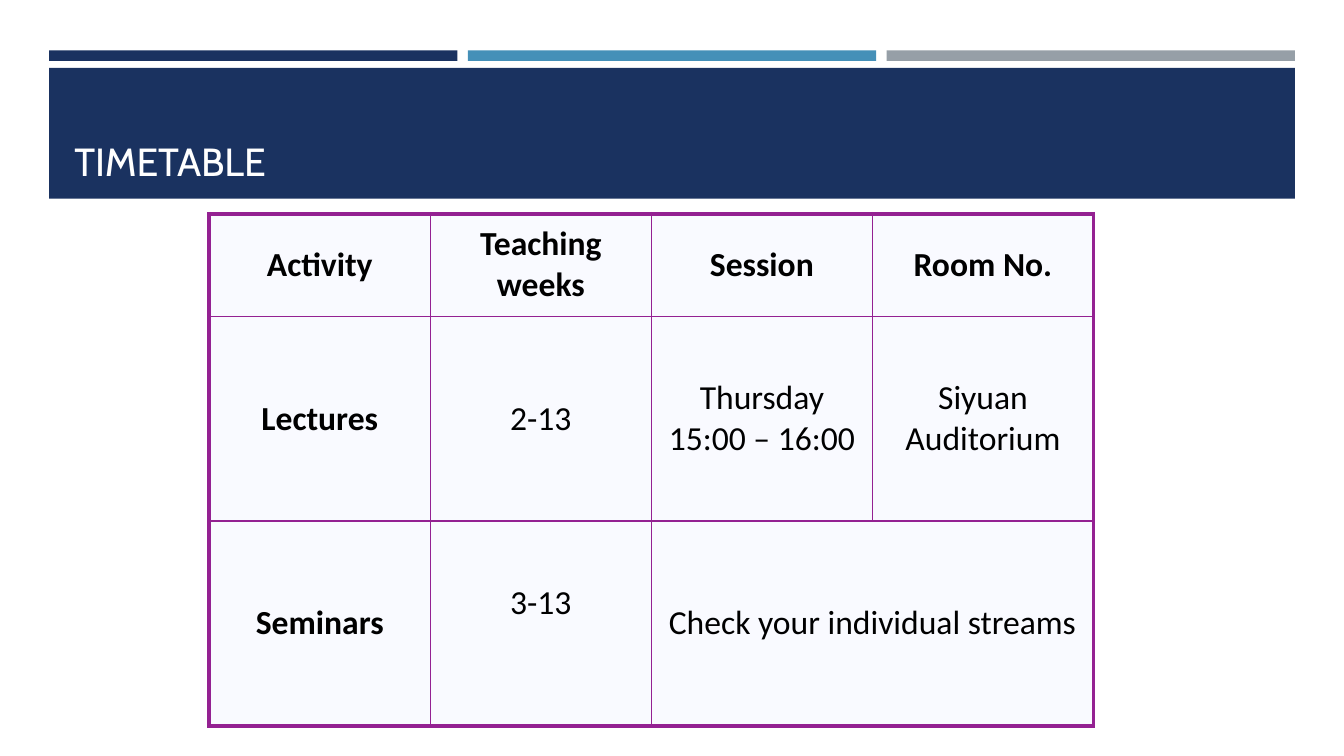
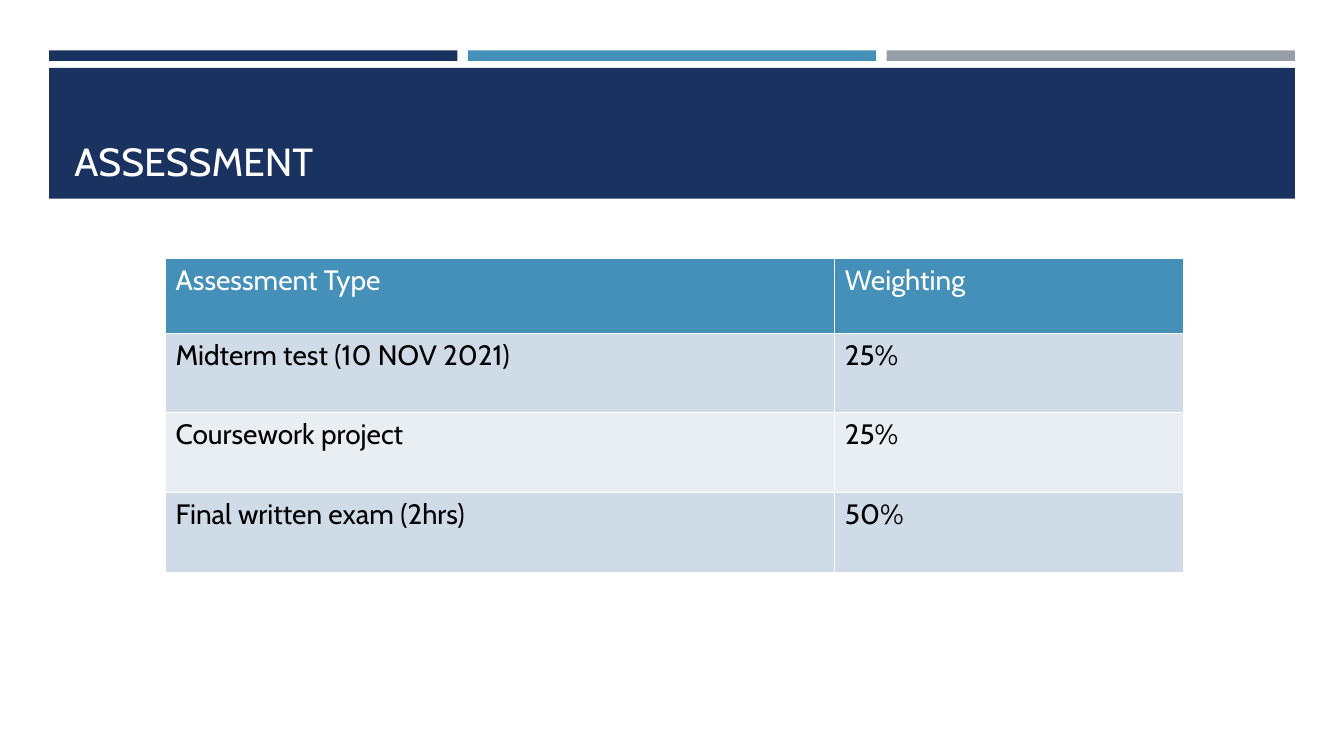
from lxml import etree
from pptx import Presentation
from pptx.dml.color import RGBColor
from pptx.enum.shapes import MSO_SHAPE
from pptx.enum.text import MSO_ANCHOR, PP_ALIGN
from pptx.oxml.ns import qn
from pptx.util import Pt

RECTANGLE = MSO_SHAPE.RECTANGLE
BOTTOM, MIDDLE, TOP = MSO_ANCHOR.BOTTOM, MSO_ANCHOR.MIDDLE, MSO_ANCHOR.TOP
CENTER, LEFT = PP_ALIGN.CENTER, PP_ALIGN.LEFT

NAVY = RGBColor(0x1A, 0x32, 0x60)
BLUE = RGBColor(0x45, 0x90, 0xB8)
GREY = RGBColor(0x96, 0x9F, 0xA7)
WHITE = RGBColor(0xFF, 0xFF, 0xFF)
BLACK = RGBColor(0, 0, 0)
PURPLE = RGBColor(0x94, 0x21, 0x92)
GHOST = RGBColor(0xF9, 0xFA, 0xFF)
BANDS = (RGBColor(0xCF, 0xDB, 0xE6), RGBColor(0xE9, 0xEE, 0xF3))

TITLE_FONT = "Cabin"
TIMETABLE_FONT = "Calibri"

TIMETABLE = [
    ["Activity", "Teaching weeks", "Session", "Room No."],
    ["Lectures", "2-13", "Thursday\n15:00 – 16:00", "Siyuan Auditorium"],
    ["Seminars", "3-13", "Check your individual streams", ""],
]
ASSESSMENT = [
    ["Assessment Type", "Weighting"],
    ["Midterm test (10 NOV 2021)", "25%"],
    ["Coursework project", "25%"],
    ["Final written exam (2hrs)", "50%"],
]

# Frame shared by both slides, in points
FRAME_LEFT, FRAME_WIDTH = 35, 890
BAR_TOP, BAR_HEIGHT, BAR_GAP = 36, 7.5, 7.5
BAR_COLORS = (NAVY, BLUE, GREY)
BAND_TOP, BAND_HEIGHT = 48.5, 93.5


def add_block(slide, left, top, width, height, color):
    block = slide.shapes.add_shape(RECTANGLE, Pt(left), Pt(top), Pt(width), Pt(height))
    block.shadow.inherit = False
    block.fill.solid()
    block.fill.fore_color.rgb = color
    block.line.fill.background()


def write(paragraph, text, font, size, color, bold=False):
    """Add the text as runs, with a line break at each newline."""
    for number, line in enumerate(text.split("\n")):
        if number:
            paragraph.add_line_break()
        run = paragraph.add_run()
        run.text = line
        run.font.name = font
        run.font.size = Pt(size)
        run.font.bold = bold
        run.font.color.rgb = color


def add_titled_slide(prs, title):
    slide = prs.slides.add_slide(prs.slide_layouts[6])
    count = len(BAR_COLORS)
    bar_width = (FRAME_WIDTH - (count - 1) * BAR_GAP) / count
    for number, color in enumerate(BAR_COLORS):
        left = FRAME_LEFT + number * (bar_width + BAR_GAP)
        add_block(slide, left, BAR_TOP, bar_width, BAR_HEIGHT, color)
    add_block(slide, FRAME_LEFT, BAND_TOP, FRAME_WIDTH, BAND_HEIGHT, NAVY)

    heading = slide.shapes.add_textbox(Pt(46), Pt(55.5), Pt(868), Pt(80)).text_frame
    heading.word_wrap = True
    heading.vertical_anchor = BOTTOM
    write(heading.paragraphs[0], title, TITLE_FONT, 28, WHITE)
    return slide


def add_plain_table(slide, left, top, widths, heights):
    """Add a table without the style's header and banding."""
    table = slide.shapes.add_table(
        len(heights), len(widths), Pt(left), Pt(top), Pt(sum(widths)), Pt(sum(heights))
    ).table
    table.first_row = table.horz_banding = False
    for column, width in zip(table.columns, widths):
        column.width = Pt(width)
    for row, height in zip(table.rows, heights):
        row.height = Pt(height)
    return table


def set_borders(cell, color, left=1, right=1, top=1, bottom=1):
    """Draw the four borders, widths in points; call before filling the cell."""
    properties = cell._tc.get_or_add_tcPr()
    for side, width in (("L", left), ("R", right), ("T", top), ("B", bottom)):
        line = etree.SubElement(properties, qn(f"a:ln{side}"), w=str(Pt(width)))
        fill = etree.SubElement(line, qn("a:solidFill"))
        etree.SubElement(fill, qn("a:srgbClr"), val=str(color))


def fill_cell(cell, text, fill, anchor, align, **style):
    cell.fill.solid()
    cell.fill.fore_color.rgb = fill
    cell.vertical_anchor = anchor
    paragraph = cell.text_frame.paragraphs[0]
    paragraph.alignment = align
    if text:
        write(paragraph, text, **style)


def build_timetable(prs):
    slide = add_titled_slide(prs, "TIMETABLE")
    table = add_plain_table(slide, 149.5, 152.7, [157.9] * 4, [73.2, 146.3, 146.3])
    table.cell(2, 2).merge(table.cell(2, 3))
    last_row, last_col = len(TIMETABLE) - 1, len(TIMETABLE[0]) - 1
    for r, row in enumerate(TIMETABLE):
        for c, text in enumerate(row):
            cell = table.cell(r, c)
            end_col = c + cell.span_width - 1 if cell.is_merge_origin else c
            set_borders(
                cell, PURPLE,
                left=3 if c == 0 else 1,
                right=3 if end_col == last_col else 1,
                top=3 if r == 0 else 1,
                bottom=3 if r == last_row else 1,
            )
            cell.margin_left = cell.margin_right = Pt(3)
            cell.margin_top = cell.margin_bottom = Pt(3)
            fill_cell(cell, text, GHOST, MIDDLE, CENTER, font=TIMETABLE_FONT,
                      size=24, color=BLACK, bold=r == 0 or c == 0)
    # The seminar weeks sit one half line above the middle
    table.cell(2, 1).margin_bottom = Pt(32)


def build_assessment(prs):
    slide = add_titled_slide(prs, "ASSESSMENT")
    table = add_plain_table(slide, 118.3, 184.7, [478, 248.9], [53.3] + [56.9] * 3)
    for r, row in enumerate(ASSESSMENT):
        fill = BANDS[(r - 1) % 2] if r else BLUE
        for c, text in enumerate(row):
            cell = table.cell(r, c)
            set_borders(cell, WHITE)
            fill_cell(cell, text, fill, TOP, LEFT, font=TITLE_FONT,
                      size=20, color=BLACK if r else WHITE)


def main():
    prs = Presentation()
    prs.slide_width, prs.slide_height = Pt(960), Pt(540)
    build_timetable(prs)
    build_assessment(prs)
    prs.save("out.pptx")


if __name__ == "__main__":
    main()
